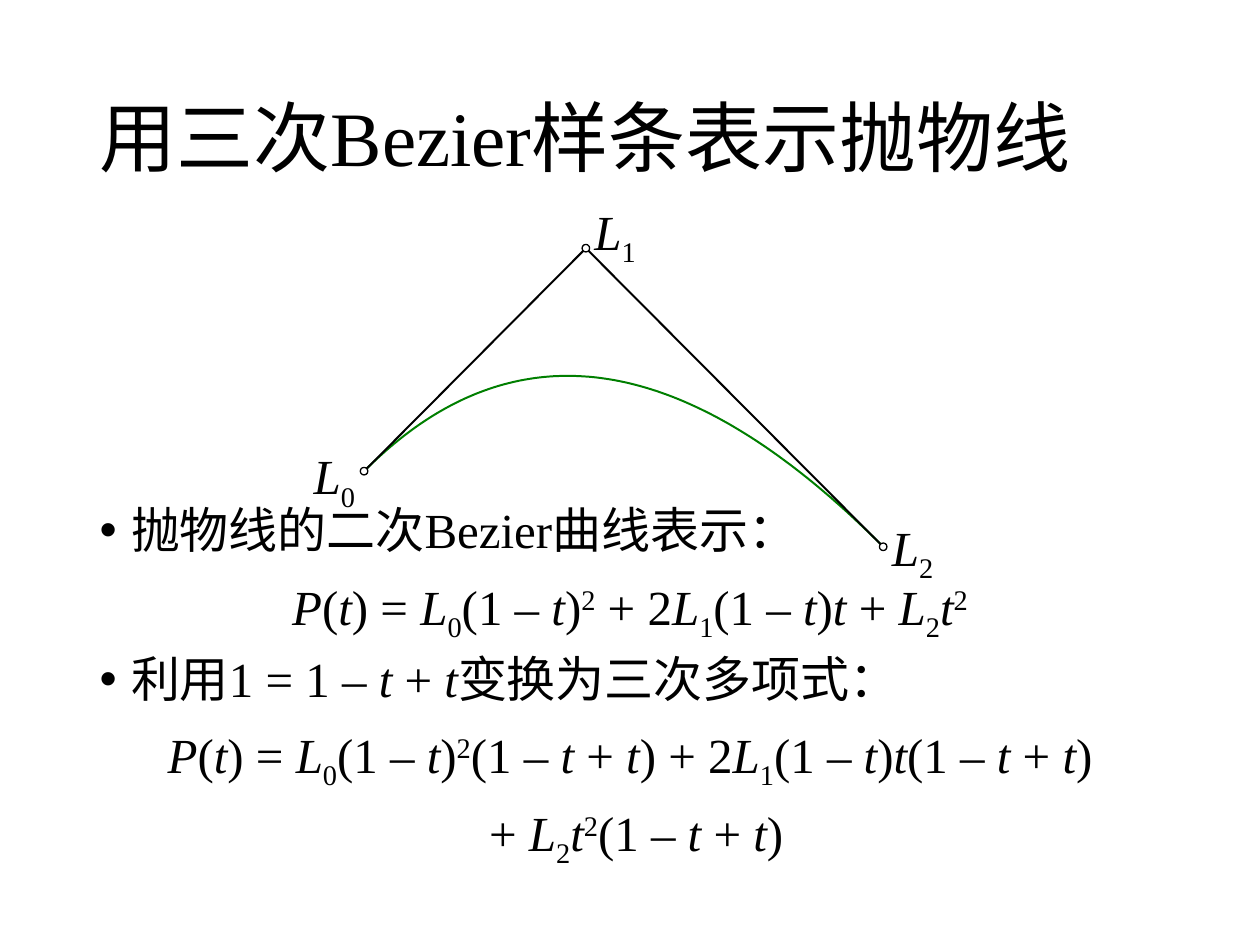
from itertools import groupby

from lxml.etree import SubElement
from pptx import Presentation
from pptx.dml.color import RGBColor
from pptx.enum.lang import MSO_LANGUAGE_ID
from pptx.enum.shapes import MSO_CONNECTOR, MSO_SHAPE
from pptx.enum.text import MSO_ANCHOR, MSO_AUTO_SIZE, PP_ALIGN
from pptx.oxml.ns import qn
from pptx.util import Inches, Pt

FONT = "Times New Roman"
COLORS = {"ink": "000000", "curve": "007F00", "paper": "FFFFFF"}
VARIABLES = "PLt"  # set in italics
BASELINES = {"_": "-25000", "^": "30000"}  # mark before a sub- or superscript digit

TITLE = "用三次Bezier样条表示抛物线"
BODY = [  # (has a bullet, text)
    (True, "抛物线的二次Bezier曲线表示："),
    (False, "P(t) = L_0(1 – t)^2 + 2L_1(1 – t)t + L_2t^2"),
    (True, "利用1 = 1 – t + t变换为三次多项式："),
    (False, "P(t) = L_0(1 – t)^2(1 – t + t) + 2L_1(1 – t)t(1 – t + t)"),
    (False, " + L_2t^2(1 – t + t)"),
]
CONTROL_POINTS = [(2.89, 3.74), (4.65, 1.97), (7.01, 4.34)]
LABELS = [  # text, left, top, width
    ("L_0", 2.39, 3.49, 0.55),
    ("L_1", 4.62, 1.55, 0.57),
    ("L_2", 6.98, 4.06, 0.55),
]
LABEL_HEIGHT = 0.57
DOT = 0.06
CURVE_STEPS = 100


def color(name):
    return RGBColor.from_string(COLORS[name])


def place(s, left, top, width, height):
    s.left, s.top, s.width, s.height = map(Inches, (left, top, width, height))


def format_run(r, size):
    r.font.name, r.font.size = FONT, Pt(size)
    r.font.color.rgb = color("ink")
    r.font.language_id = MSO_LANGUAGE_ID.SIMPLIFIED_CHINESE


def add_math(p, text):
    """Add runs to p, with variables in italics and marked digits shifted."""
    chars, mark = [], ""
    for ch in text:
        if ch in BASELINES:
            mark = ch
        else:
            chars.append((ch, ch in VARIABLES, mark))
            mark = ""
    for (italic, mark), group in groupby(chars, key=lambda c: c[1:]):
        r = p.add_run()
        r.text = "".join(c[0] for c in group)
        format_run(r, 28)
        r.font.italic = italic
        if mark:
            r.font._element.set("baseline", BASELINES[mark])


def set_bullet(p, bullet):
    pPr = p._p.get_or_add_pPr()
    indent = Inches(0.25) if bullet else 0
    pPr.set("marL", str(indent))
    pPr.set("indent", str(-indent))
    if bullet:
        SubElement(pPr, qn("a:buFont")).set("typeface", "Arial")
        SubElement(pPr, qn("a:buChar")).set("char", "•")
    else:
        SubElement(pPr, qn("a:buNone"))


def bezier(t):
    """Point of the quadratic Bezier curve at t, in EMU."""
    weights = ((1 - t) ** 2, 2 * t * (1 - t), t * t)
    return tuple(Inches(sum(w * pt[axis] for w, pt in zip(weights, CONTROL_POINTS)))
                 for axis in (0, 1))


def set_line(s, name, width):
    s.line.color.rgb = color(name)
    s.line.width = Pt(width)


def add_title(slide):
    s = slide.shapes.title
    place(s, 0.69, 0.4, 8.62, 1.45)
    tf = s.text_frame
    tf.text = TITLE
    tf.auto_size = MSO_AUTO_SIZE.NONE
    tf.vertical_anchor = MSO_ANCHOR.MIDDLE
    p = tf.paragraphs[0]
    p.alignment, p.line_spacing = PP_ALIGN.LEFT, 0.9
    format_run(p.runs[0], 44)


def add_body(slide):
    s = slide.placeholders[1]
    place(s, 0.69, 3.97, 8.62, 2.78)
    tf = s.text_frame
    tf.auto_size = MSO_AUTO_SIZE.NONE
    for i, (bullet, text) in enumerate(BODY):
        p = tf.add_paragraph() if i else tf.paragraphs[0]
        p.alignment = PP_ALIGN.LEFT if bullet else PP_ALIGN.CENTER
        p.line_spacing, p.space_before = 0.9, Pt(10)
        set_bullet(p, bullet)
        add_math(p, text)


def add_diagram(shapes):
    points = [bezier(i / CURVE_STEPS) for i in range(CURVE_STEPS + 1)]
    builder = shapes.build_freeform(*points[0])
    builder.add_line_segments(points[1:], close=False)
    curve = builder.convert_to_shape()
    curve.shadow.inherit = False
    curve.fill.background()
    set_line(curve, "curve", 1.13)

    for start, end in zip(CONTROL_POINTS, CONTROL_POINTS[1:]):
        edge = shapes.add_connector(MSO_CONNECTOR.STRAIGHT, *map(Inches, start + end))
        set_line(edge, "ink", 1.13)
        SubElement(edge._element.spPr, qn("a:effectLst"))

    for x, y in CONTROL_POINTS:
        dot = shapes.add_shape(MSO_SHAPE.OVAL, *map(
            Inches, (x - DOT / 2, y - DOT / 2, DOT, DOT)))
        dot.shadow.inherit = False
        dot.fill.solid()
        dot.fill.fore_color.rgb = color("paper")
        set_line(dot, "ink", 0.75)

    for text, left, top, width in LABELS:
        tf = shapes.add_textbox(
            *map(Inches, (left, top, width, LABEL_HEIGHT))).text_frame
        tf.word_wrap = False
        tf.auto_size = MSO_AUTO_SIZE.SHAPE_TO_FIT_TEXT
        add_math(tf.paragraphs[0], text)


def main():
    prs = Presentation()
    prs.slide_width, prs.slide_height = Inches(10), Inches(7.5)
    slide = prs.slides.add_slide(prs.slide_layouts[1])  # title and content
    add_title(slide)
    add_body(slide)
    add_diagram(slide.shapes)
    prs.save("out.pptx")


if __name__ == "__main__":
    main()
